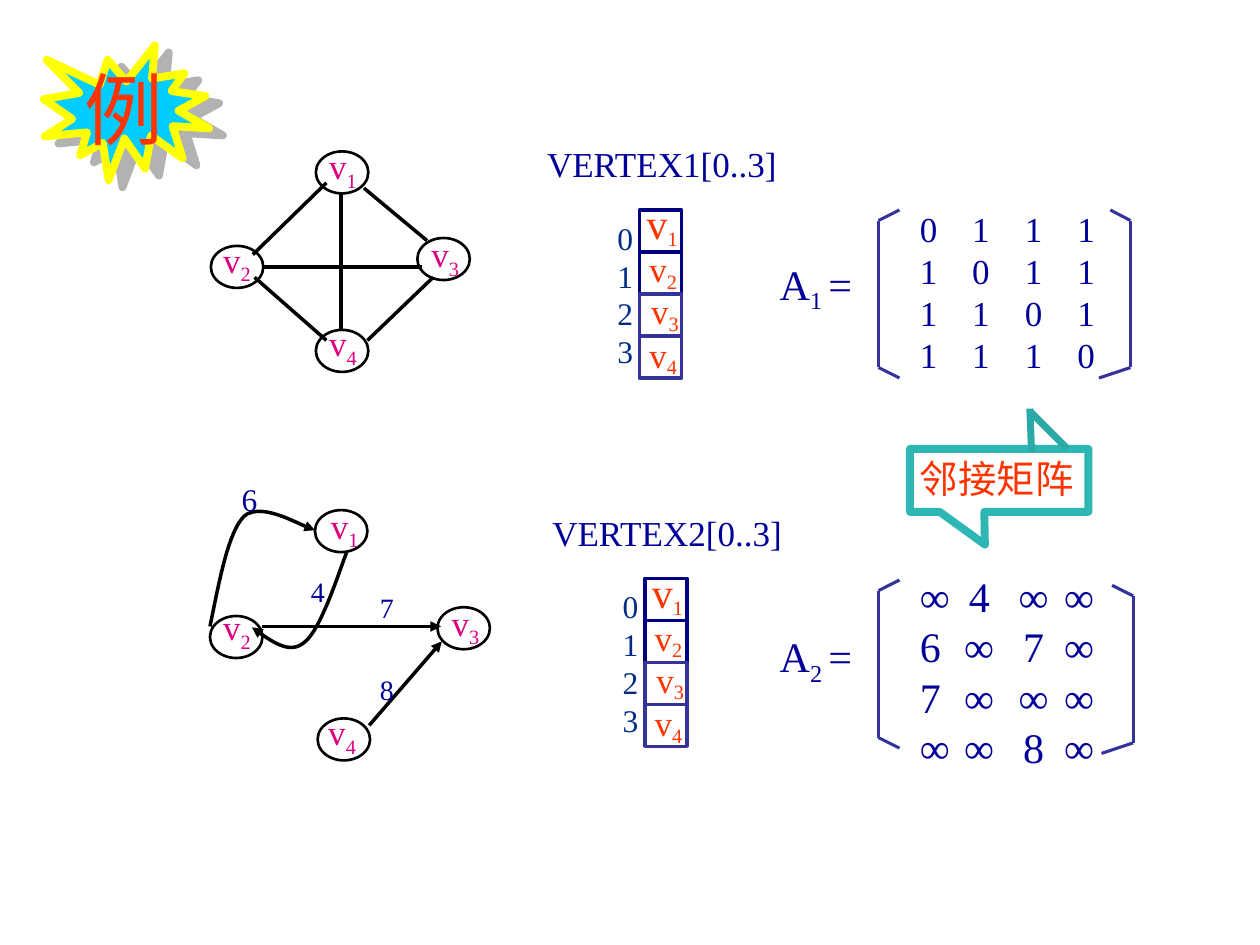
import pptx
import pptx.dml.color
import pptx.enum.shapes
import pptx.enum.text
import pptx.oxml
import pptx.oxml.ns
import pptx.util

Pt = pptx.util.Pt
MSO = pptx.enum.shapes.MSO_SHAPE
ALIGN = pptx.enum.text.PP_ALIGN

THEME = {
    "font": "Times New Roman", "cjk": "Noto Sans CJK SC",
    "ink": "000000", "node": "DC0081", "text": "000099", "index": "002C84",
    "accent": "FF3300", "bracket": "333399", "cell": "000080",
    "callout": "2DB6B3", "pointer": "2AA9A6", "burst": "00CCFF",
    "burst_line": "FFFF00", "burst_shadow": "B2B2B2",
    "badge_shadow": "FFFFFF", "callout_shadow": "000000",
    "badge": 45, "large": 24, "callout_size": 22, "body": 20, "small": 18, "weight": 16,
    "leading": 1.2,
}

GRAPHS = [
    {
        "vertices": [((180.5, 86.5), (181, 79)), ((120.5, 140.5), (120.5, 132.5)),
                     ((238.5, 136), (239.5, 129.5)), ((180.5, 188.5), (181, 180))],
        "edges": [(144.5, 145.5, 186.5, 104.5), (150.5, 152.5, 241, 152.5),
                  (195, 111, 195, 188.5), (208, 107.5, 244, 137.5),
                  (210, 194.5, 247.5, 158.5), (145.5, 158.5, 186.5, 194.5)],
        "directed": False, "curves": [], "weights": [],
    },
    {
        "vertices": [((180, 291.5), (182, 284.5)), ((120, 352), (120.5, 342.5)),
                     ((250, 347), (251, 340)), ((181.5, 410.5), (180.5, 402.5))],
        "edges": [(150, 358, 252, 358), (211, 414.5, 252.5, 366.5)],
        "directed": True,
        "curves": [
            [(120, 358), (125.5, 331), (130.5, 304), (139.5, 295),
             (150, 286), (173.5, 301.5), (180, 303)],
            [(198, 316), (194.5, 324.5), (183.5, 360), (174, 367),
             (165.5, 374.5), (155, 366.5), (144, 358.5)],
        ],
        "weights": [("6", 131, 270.5, "small"), ("4", 170.5, 324.5, "weight"),
                    ("7", 210, 334, "weight"), ("8", 210, 381, "weight")],
    },
]

MATRICES = [
    {
        "name": "1", "name_top": 144, "top": 115, "size": "body",
        "rows": ["0111", "1011", "1101", "1110"],
        "tabs": [(30, "l"), (60, "l"), (90, "l")],
        "brackets": [(502, 126, 12, 12), (646, 126, -11.5, -18)],
    },
    {
        "name": "2", "name_top": 357, "top": 322.5, "size": "large",
        "rows": ["∞4∞∞", "6∞7∞", "7∞∞∞", "∞∞8∞"],
        "tabs": [(34, "ctr"), (65, "ctr"), (91, "ctr")],
        "brackets": [(502, 337.5, 12, 12), (647.5, 340.5, -12, -18)],
    },
]

VERTEX_ARRAYS = [("VERTEX1[0..3]", 365.5, 120), ("VERTEX2[0..3]", 368.5, 330.5)]
CELLS = [("cell", -3, -10.5, "large"), ("cell", -1.5, 18, "body"),
         ("bracket", -0.5, 42, "body"), ("bracket", -1.5, 67, "body")]
CELL = 24
NODE = (30, 24)
BRACKET_HEIGHT, HOOK = 84, 6
CALLOUT_POINTER = [(589, 235.5, 610, 256.5), (588.5, 233.5, 589.5, 258.5)]

deck = pptx.Presentation()
deck.slide_width, deck.slide_height = Pt(720), Pt(540)
slide = deck.slides.add_slide(deck.slide_layouts[6])
shapes = slide.shapes


def colour(key):
    return pptx.dml.color.RGBColor.from_string(THEME[key])


def apply(target, values):
    for attribute, value in values.items():
        setattr(target, attribute, value)


def element(xml):
    return pptx.oxml.parse_xml(xml.replace(">", " " + pptx.oxml.ns.nsdecls("a") + ">", 1)
                               if "/>" not in xml.split(">")[0] + ">"
                               else xml.replace("/>", " " + pptx.oxml.ns.nsdecls("a") + "/>", 1))


def shadow_xml(key, distance, degrees):
    return (f'<a:outerShdw dist="{Pt(distance)}" dir="{int(degrees * 60000)}" algn="ctr" '
            f'rotWithShape="0"><a:srgbClr val="{THEME[key]}"/></a:outerShdw>')


def stroke(line, key, width, arrow=False):
    apply(line, {"width": Pt(width)})
    line.color.rgb = colour(key)
    if arrow:
        line._get_or_add_ln().append(element('<a:tailEnd type="triangle"/>'))


def segment(ends, key, width, arrow=False):
    connector = shapes.add_connector(pptx.enum.shapes.MSO_CONNECTOR.STRAIGHT, *map(Pt, ends))
    stroke(connector.line, key, width, arrow)
    connector._element.spPr.append(element("<a:effectLst/>"))


def outline(kind, box, key, width):
    shape = shapes.add_shape(kind, *map(Pt, box))
    shape.shadow.inherit = False
    shape.fill.background()
    stroke(shape.line, key, width)
    return shape


def curve(controls):
    points = [controls[0]]
    for start in range(0, len(controls) - 1, 3):
        a, b, c, d = controls[start:start + 4]
        for step in range(1, 17):
            t = step / 16
            points.append(tuple((1 - t) ** 3 * p + 3 * (1 - t) ** 2 * t * q
                                + 3 * (1 - t) * t * t * r + t ** 3 * s
                                for p, q, r, s in zip(a, b, c, d)))
    (first, *rest) = [(Pt(x), Pt(y)) for x, y in points]
    builder = shapes.build_freeform(*first)
    builder.add_line_segments(rest, close=False)
    path = builder.convert_to_shape()
    path.shadow.inherit = False
    path.fill.background()
    stroke(path.line, "ink", 2, arrow=True)


def label(lines, left, top, width, key, size, wrap=False, align=ALIGN.LEFT,
          tabs=(), shadow=None):
    leading = THEME[size] * THEME["leading"]
    box = shapes.add_textbox(*map(Pt, (left, top, width, leading * len(lines) + 7.2)))
    apply(box.text_frame, {"word_wrap": wrap,
                           "auto_size": pptx.enum.text.MSO_AUTO_SIZE.SHAPE_TO_FIT_TEXT})
    for number, runs in enumerate(lines):
        paragraph = box.text_frame.add_paragraph() if number else box.text_frame.paragraphs[0]
        paragraph.alignment = align
        if len(lines) > 1:
            paragraph.line_spacing = Pt(leading)
        if tabs:
            stops = "".join(f'<a:tab pos="{Pt(x)}" algn="{kind}"/>' for x, kind in tabs)
            paragraph._p.get_or_add_pPr().append(element(f"<a:tabLst>{stops}</a:tabLst>"))
        for text, run_size, baseline in runs:
            run = paragraph.add_run()
            run.text = text
            run.font.color.rgb = colour(key)
            apply(run.font, {"size": Pt(THEME[run_size]), "name": THEME["font"]})
            properties = run._r.get_or_add_rPr()
            if baseline:
                properties.set("baseline", str(baseline * 1000))
            if shadow:
                latin = properties.find(pptx.oxml.ns.qn("a:latin"))
                latin.addprevious(element(f"<a:effectLst>{shadow_xml(shadow, 2, 45)}</a:effectLst>"))
                latin.addnext(element(f'<a:ea typeface="{THEME["cjk"]}"/>'))


def plain(text, size):
    return [(text, size, 0)]


for graph in GRAPHS:
    for corner, _ in graph["vertices"]:
        outline(MSO.OVAL, corner + NODE, "ink", 1.5)
    for ends in graph["edges"]:
        segment(ends, "ink", 2, graph["directed"])
    for controls in graph["curves"]:
        curve(controls)
    for number, (_, (left, top)) in enumerate(graph["vertices"], 1):
        label([[("v", "body", 0), (str(number), "body", -25)]], left, top, 31, "node", "body")
    for weight, left, top, size in graph["weights"]:
        label([plain(weight, size)], left, top, 23, "text", size)

for matrix in MATRICES:
    size = matrix["size"]
    label([plain("\t".join(row), size) for row in matrix["rows"]],
          518.5, matrix["top"], 133, "text", size, wrap=True, tabs=matrix["tabs"])
    for x, top, top_hook, bottom_hook in matrix["brackets"]:
        bottom = top + BRACKET_HEIGHT
        for ends in [(x, top, x, bottom), (x, top, x + top_hook, top - HOOK),
                     (x, bottom, x + bottom_hook, bottom + HOOK)]:
            segment(ends, "bracket", 1.75)
    label([[("A", "large", 0), (matrix["name"] + " ", "large", -22), ("=", "large", 0)]],
          438.5, matrix["name_top"], 57.5, "text", "large")

callout = outline(MSO.RECTANGULAR_CALLOUT, (520, 256.5, 102, 36), "callout", 4.5)
callout.adjustments[0], callout.adjustments[1] = -0.08, 1.02
for ends in CALLOUT_POINTER:
    segment(ends, "pointer", 4)
label([plain("邻接矩阵", "callout_size")], 518.5, 256.5, 128, "accent", "callout_size",
      wrap=True, shadow="callout_shadow")

for heading, left, top in VERTEX_ARRAYS:
    for row, (border, *_) in enumerate(CELLS):
        outline(MSO.RECTANGLE, (left, top + row * CELL, CELL, CELL), border, 2)
    for number, (_, dx, dy, size) in enumerate(CELLS, 1):
        label([[("v", size, 0), (str(number), "body", -20 if number == 1 else -18)]],
              left + dx, top + dy, 33 if number == 1 else 31, "accent", size)
    label([plain(heading, "body")], left - 60, top - 42, 151, "text", "body")
    label([plain(str(row), "small") for row in range(len(CELLS))],
          left - 20, top + 1.5, 23.5, "index", "small", align=ALIGN.CENTER)

burst = outline(MSO.EXPLOSION1, (25, 26, 94.5, 77), "burst_line", 4.5)
burst.fill.solid()
burst.fill.fore_color.rgb = colour("burst")
burst._element.spPr.find(pptx.oxml.ns.qn("a:effectLst")).append(
    element(shadow_xml("burst_shadow", 8.9, 27)))
label([plain("例", "badge")], 41, 31, 84, "accent", "badge", wrap=True, shadow="badge_shadow")

deck.save("out.pptx")
